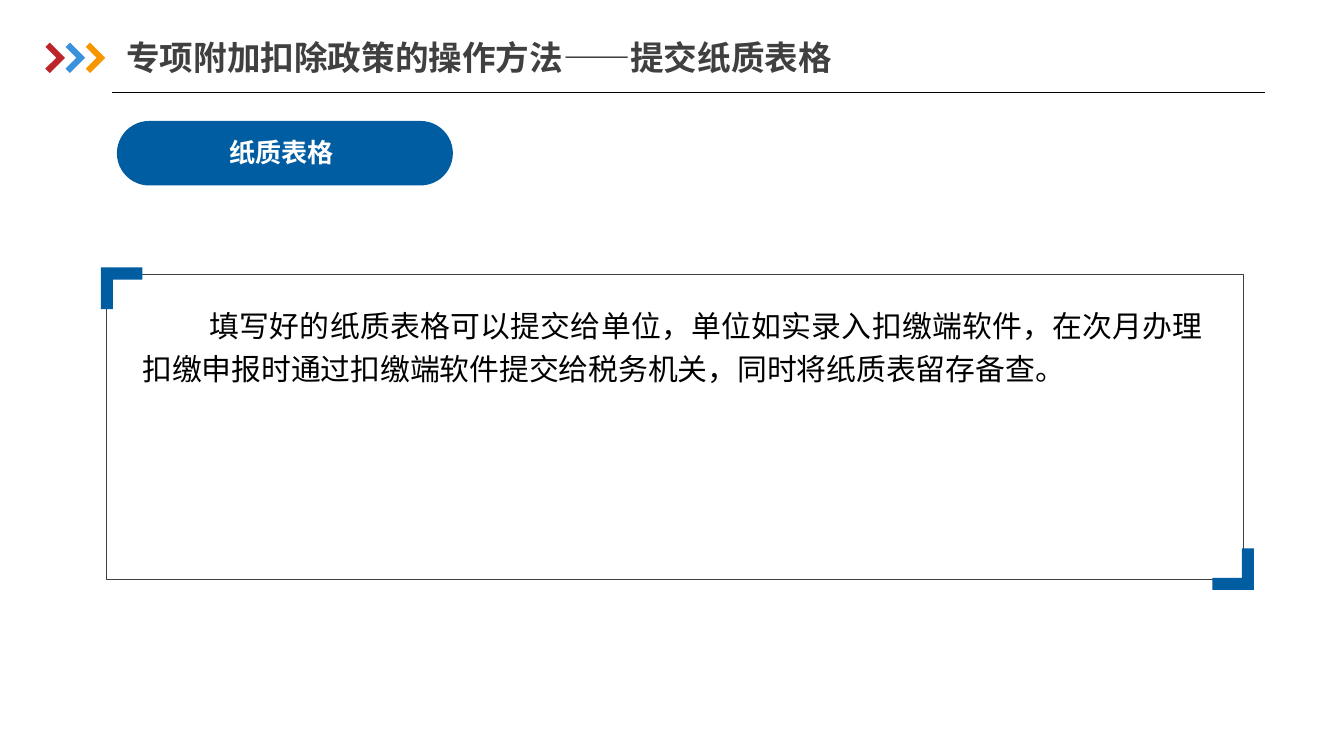
from lxml import etree
from pptx import Presentation
from pptx import util as u
from pptx.dml.color import RGBColor
from pptx.enum import shapes, text
from pptx.oxml.ns import qn

FONT = "Noto Sans CJK SC"
BLUE, GRAY = "005DA2", "404040"
ALIGN = text.PP_ALIGN


def rgb(color):
    return RGBColor.from_string(color)


def box(left, top, width, height):
    return [u.Inches(v) for v in (left, top, width, height)]


def style(sp, fill=None, line=None, weight=0.25):
    sp.shadow.inherit = False
    if fill:
        sp.fill.solid()
        sp.fill.fore_color.rgb = rgb(fill)
    else:
        sp.fill.background()
    if line:
        sp.line.color.rgb = rgb(line)
        sp.line.width = u.Pt(weight)
    else:
        sp.line.fill.background()


def add_preset(s, kind, at, adjust, rotation=0, **look):
    sp = s.shapes.add_shape(kind, *box(*at))
    for i, value in enumerate(adjust):
        sp.adjustments[i] = value
    sp.rotation = rotation
    style(sp, **look)


def write(sp, words, size, color="000000", bold=False, font=FONT, align=ALIGN.LEFT,
          anchor=text.MSO_ANCHOR.MIDDLE, inset=0, spacing=1.0, before=0, indent=0):
    """Fill a text shape with one paragraph; inset is its top and bottom margin."""
    tf = sp.text_frame
    tf.word_wrap = True
    tf.auto_size = text.MSO_AUTO_SIZE.NONE
    tf.vertical_anchor = anchor
    tf.margin_left = tf.margin_right = 0
    tf.margin_top = tf.margin_bottom = u.Inches(inset)
    p = tf.paragraphs[0]
    p.alignment, p.line_spacing, p.space_before = align, spacing, u.Pt(before)
    if indent:
        pPr = p._p.get_or_add_pPr()
        pPr.set("marL", "0")
        pPr.set("indent", str(u.Inches(indent)))
    r = p.add_run()
    r.text = words
    r.font.name, r.font.size, r.font.bold = font, u.Pt(size), bold
    r.font.color.rgb = rgb(color)
    etree.SubElement(r._r.get_or_add_rPr(), qn("a:ea")).set("typeface", FONT)


def add_text(s, at, words, **fmt):
    write(s.shapes.add_textbox(*box(*at)), words, **fmt)


def add_title(s, at, words, **fmt):
    sp = s.shapes.title
    sp.left, sp.top, sp.width, sp.height = box(*at)
    write(sp, words, **fmt)


def add_rule(s, x1, x2, y):
    cx = s.shapes.add_connector(shapes.MSO_CONNECTOR.STRAIGHT,
                                *box(x1, y, x2, y))
    cx.line.color.rgb = rgb("000000")
    cx.line.width = u.Pt(0.75)
    etree.SubElement(cx._element.spPr, qn("a:effectLst"))


def add_bracket(s, x, y, direction, arm=0.31, thick=0.09):
    """Draw an L from its outer corner; direction 1 opens down-right, -1 up-left."""
    offsets = [(0, 0), (arm, 0), (arm, thick), (thick, thick), (thick, arm), (0, arm)]
    points = [(u.Inches(x + direction * dx), u.Inches(y + direction * dy))
              for dx, dy in offsets]
    builder = s.shapes.build_freeform(*points[0])
    builder.add_line_segments(points[1:], close=True)
    style(builder.convert_to_shape(), fill=BLUE)


def main():
    prs = Presentation()
    prs.slide_width = u.Inches(10)
    prs.slide_height = prs.slide_width * 9 // 16
    s = prs.slides.add_slide(prs.slide_layouts[5])
    preset = shapes.MSO_SHAPE

    add_title(s, (0.94, 0.22, 5.4, 0.41), "专项附加扣除政策的操作方法——提交纸质表格",
              size=18, color=GRAY, bold=True, inset=0.05)
    for i, color in enumerate(("BC242A", "3992DB", "F79600")):
        add_preset(s, preset.CORNER, (0.29 + 0.15 * i, 0.35, 0.16, 0.16),
                   (0.28, 0.29), rotation=225, fill=color)
    add_rule(s, 0.83, 9.41, 0.69)

    add_preset(s, preset.ROUNDED_RECTANGLE, (0.87, 0.9, 2.5, 0.48), (0.5,), fill=BLUE)
    add_text(s, (0.61, 0.98, 2.97, 0.34), "纸质表格", size=14, color="FFFFFF",
             bold=True, align=ALIGN.CENTER, spacing=0.9, before=10)

    add_preset(s, preset.ROUNDED_RECTANGLE, (0.79, 2.04, 8.46, 2.27), (0,), line=GRAY)
    add_text(s, (1.06, 2.24, 7.9, 0.97),
             "填写好的纸质表格可以提交给单位，单位如实录入扣缴端软件，在次月办理"
             "扣缴申报时通过扣缴端软件提交给税务机关，同时将纸质表留存备查。",
             size=16, font="Calibri", align=ALIGN.JUSTIFY,
             anchor=text.MSO_ANCHOR.TOP, spacing=1.2, indent=0.5)
    add_bracket(s, 0.75, 1.99, 1)
    add_bracket(s, 9.33, 4.39, -1)

    prs.save("out.pptx")


if __name__ == "__main__":
    main()
